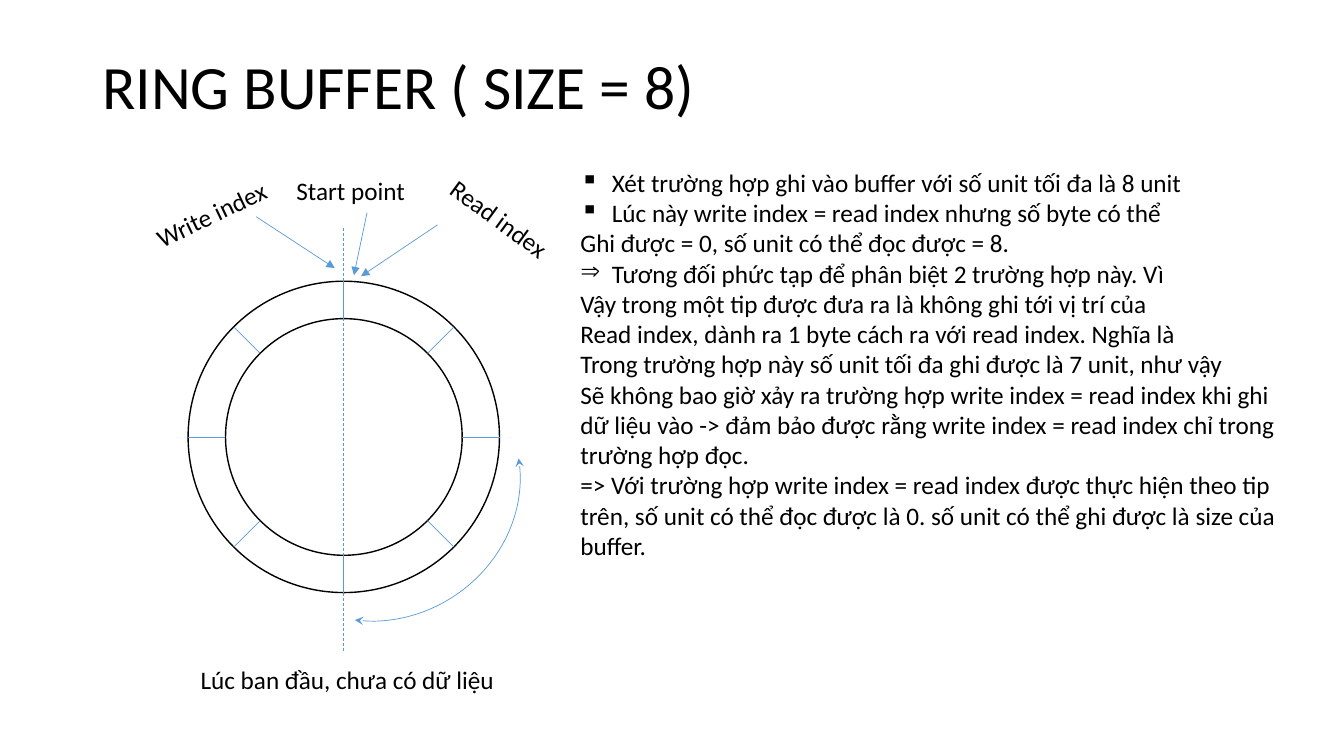
from math import cos, radians, sin

from lxml.etree import SubElement
from pptx import Presentation
from pptx.dml.color import RGBColor
from pptx.enum.dml import MSO_LINE_DASH_STYLE as Dash
from pptx.enum.shapes import MSO_CONNECTOR as Connector, MSO_SHAPE as Shape
from pptx.enum.text import MSO_ANCHOR as Anchor
from pptx.oxml.ns import qn
from pptx.util import Pt

COLORS = {"ink": "000000", "paper": "FFFFFF", "blue": "5B9BD5"}
FONT = "Calibri"
SLOTS = 8
BULLET_INDENT = 22.5

EXPLANATION = [
    ("▪", "Xét trường hợp ghi vào buffer với số unit tối đa là 8 unit"),
    ("▪", "Lúc này write index = read index nhưng số byte có thể"),
    ("", "Ghi được = 0, số unit có thể đọc được = 8."),
    ("⇒", "Tương đối phức tạp để phân biệt 2 trường hợp này. Vì"),
    ("", "Vậy trong một tip được đưa ra là không ghi tới vị trí của"),
    ("", "Read index, dành ra 1 byte cách ra với read index. Nghĩa là"),
    ("", "Trong trường hợp này số unit tối đa ghi được là 7 unit, như vậy"),
    ("", "Sẽ không bao giờ xảy ra trường hợp write index = read index khi ghi "
         "dữ liệu vào -> đảm bảo được rằng write index = read index chỉ trong "
         "trường hợp đọc."),
    ("", "=> Với trường hợp write index = read index được thực hiện theo tip "
         "trên, số unit có thể đọc được là 0. số unit có thể ghi được là size "
         "của buffer."),
]

POINTERS = [
    ("Write index", (-144, -174, 100, 28.8), -25.5, False,
     (-62.6, -157.3), (-6.5, -120.6)),
    ("Read index", (63.4, -168.8, 100, 28.8), 36.2, True,
     (67, -151.5), (12.3, -114.8)),
    ("Start point", (-41, -190.4, 92.9, 28.8), 0, False,
     (16.6, -160.2), (7.2, -115.5)),
]


def rgb(name):
    return RGBColor.from_string(COLORS[name])


def style_line(line, color, width):
    line.color.rgb = rgb(color)
    line.width = Pt(width)


def add_heads(shape, **heads):
    ln = shape.line._get_or_add_ln()
    for end, kind in heads.items():
        SubElement(ln, qn(f"a:{end}End"), type=kind)


def add_text(slide, box, lines, size=18, wrap=True):
    label = slide.shapes.add_textbox(*map(Pt, box))
    frame = label.text_frame
    frame.word_wrap = wrap
    for index, line in enumerate(lines):
        paragraph = frame.paragraphs[0] if index == 0 else frame.add_paragraph()
        paragraph.text = line
        paragraph.font.size = Pt(size)
        paragraph.font.name = FONT
        paragraph.font.color.rgb = rgb("ink")
    return label


def add_line(slide, start, end):
    line = slide.shapes.add_connector(Connector.STRAIGHT, *map(Pt, start + end))
    style_line(line.line, "blue", 0.5)
    SubElement(line._element.spPr, qn("a:effectLst"))
    return line


def add_outline(slide, kind, box, color, width):
    outline = slide.shapes.add_shape(kind, *map(Pt, box))
    outline.shadow.inherit = False
    outline.fill.background()
    style_line(outline.line, color, width)
    return outline


def draw_title(slide, box):
    title = add_text(slide, box, ["RING BUFFER ( SIZE = 8)"], 44)
    title.text_frame.vertical_anchor = Anchor.MIDDLE
    title.text_frame.paragraphs[0].line_spacing = 0.9


def draw_ring(slide, box):
    left, top, width, height = box
    center_x, center_y = left + width / 2, top + height / 2
    outer, inner = width / 2, width * 0.38

    def at(offset):
        return center_x + offset[0], center_y + offset[1]

    def on_circle(radius, angle):
        return at((radius * cos(angle), radius * sin(angle)))

    for radius in (outer, inner):
        circle_box = at((-radius, -radius)) + (2 * radius, 2 * radius)
        circle = add_outline(slide, Shape.OVAL, circle_box, "ink", 1)
    circle.fill.solid()
    circle.fill.fore_color.rgb = rgb("paper")

    for slot in range(SLOTS):
        angle = radians(slot * 360 / SLOTS)
        add_line(slide, on_circle(inner, angle), on_circle(outer, angle))

    axis = add_line(slide, at((0, -149.4)), at((0, 153)))
    axis.line.dash_style = Dash.DASH

    for name, label_box, rotation, wrap, start, end in POINTERS:
        label = add_text(slide, at(label_box) + label_box[2:], [name], wrap=wrap)
        label.rotation = rotation
        add_heads(add_line(slide, at(start), at(end)), tail="triangle")

    sweep = add_outline(slide, Shape.ARC, at((-61.2, -61.5)) + (180.7, 199.4),
                        "blue", 0.5)
    sweep.adjustments[0] = 174.36
    sweep.adjustments[1] = 28.14
    sweep.rotation = 56
    add_heads(sweep, head="stealth", tail="stealth")

    add_text(slide, at((-109.4, 158.8)) + (226.8, 28.8),
             ["Lúc ban đầu, chưa có dữ liệu"], wrap=False)


def draw_explanation(slide, box):
    notes = add_text(slide, box, [line for _, line in EXPLANATION])
    for paragraph, (bullet, _) in zip(notes.text_frame.paragraphs, EXPLANATION):
        if bullet:
            properties = paragraph._p.get_or_add_pPr()
            properties.set("marL", str(Pt(BULLET_INDENT)))
            properties.set("indent", str(Pt(-BULLET_INDENT)))
            SubElement(properties, qn("a:buChar"), char=bullet)


def main():
    deck = Presentation()
    deck.slide_width, deck.slide_height = Pt(960), Pt(540)
    slide = deck.slides.add_slide(deck.slide_layouts[6])
    draw_title(slide, (66, 28.75, 828, 70.5))
    draw_ring(slide, (134.4, 200.9, 222.4, 222.4))
    draw_explanation(slide, (407.5, 116, 520, 291))
    deck.save("out.pptx")


if __name__ == "__main__":
    main()
